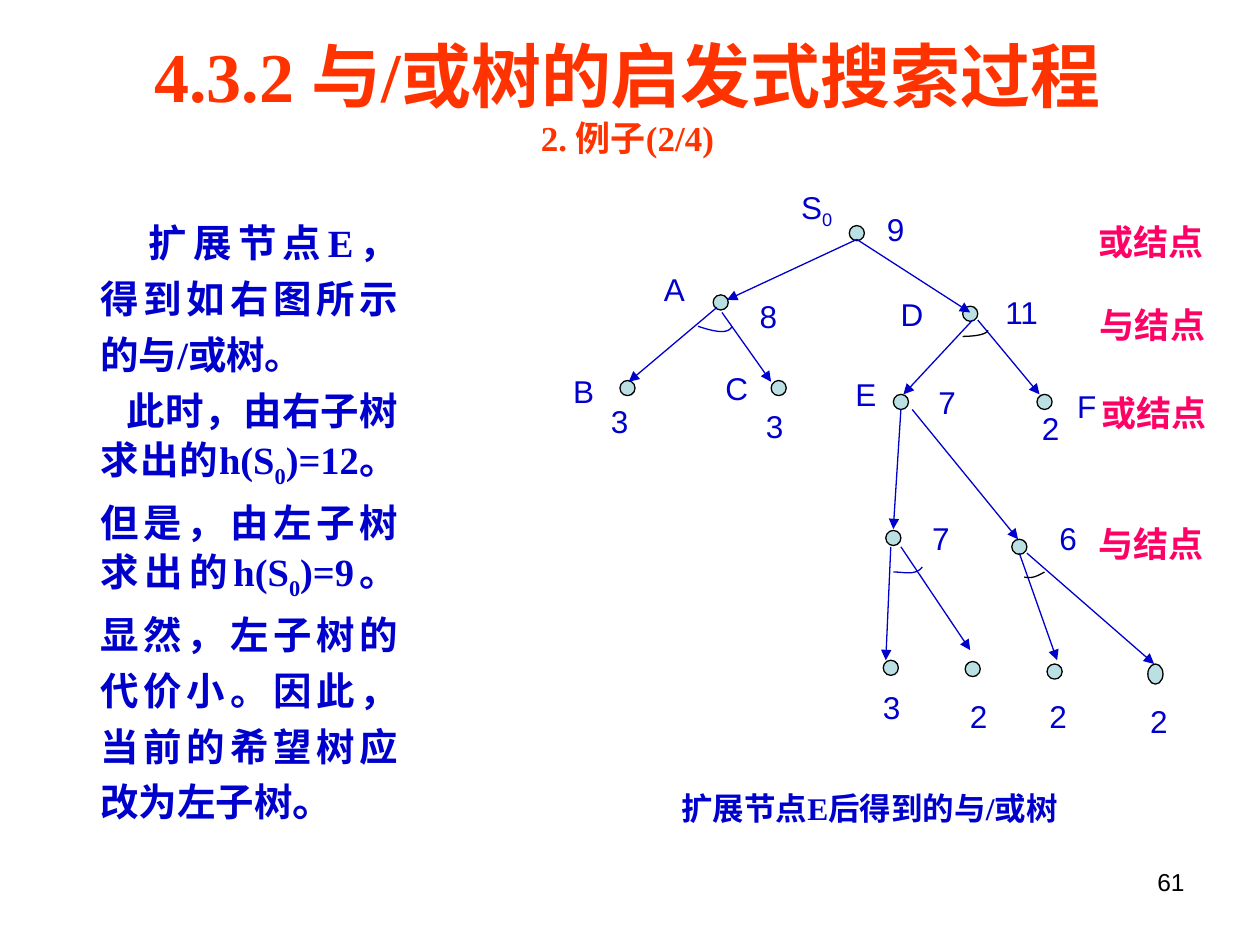
import pptx
import pptx.util
import pptx.dml.color
import pptx.enum.shapes
import pptx.enum.text
import pptx.oxml.ns
from lxml import etree
from pptx.util import Inches, Pt

INK = {"blue": "0000CC", "red": "FF3300", "pink": "FF0066",
       "node": "BBE0E3", "black": "000000"}
SERIF, SANS = "Times New Roman", "Arial"
ALIGN = pptx.enum.text.PP_ALIGN

NODES = [(2.4, 0.45), (1.32, 1), (3.3, 1.09), (0.58, 1.68), (1.78, 1.68),
         (2.75, 1.79), (3.89, 1.79), (2.69, 2.87), (3.69, 2.94),
         (2.67, 3.9), (3.32, 3.91), (3.97, 3.93), (4.77, 3.95)]
EDGES = [(2.4, 0.5, 1.37, 0.98), (2.4, 0.5, 3.3, 1.08),
         (1.29, 1.04, 0.59, 1.63), (1.33, 1.08, 1.72, 1.63),
         (3.32, 1.14, 2.77, 1.73), (3.36, 1.14, 3.85, 1.73),
         (2.75, 1.85, 2.69, 2.8), (2.84, 1.85, 3.68, 2.88),
         (2.67, 2.94, 2.63, 3.84), (2.75, 2.94, 3.3, 3.76),
         (3.69, 2.99, 3.99, 3.84), (3.75, 2.99, 4.76, 3.87)]
LABELS = [("S_0", 1.86, 0.04), ("9", 2.54, 0.22), ("A", 0.77, 0.69),
          ("8", 1.53, 0.91), ("D", 2.65, 0.89), ("11", 3.48, 0.88),
          ("B", 0.05, 1.5), ("C", 1.26, 1.48), ("E", 2.29, 1.53),
          ("F", 4.05, 1.62), ("3", 0.35, 1.74), ("3", 1.58, 1.78),
          ("7", 2.95, 1.59), ("2", 3.77, 1.8), ("3", 2.51, 4.01),
          ("2", 3.2, 4.08), ("2", 3.83, 4.08), ("2", 4.63, 4.12),
          ("7", 2.9, 2.67), ("6", 3.91, 2.67)]
ARCS = [("blue", [(1.14, 1.19), (1.26, 1.23), (1.38, 1.26), (1.41, 1.19)]),
        ("black", [(3.24, 1.27), (3.35, 1.27), (3.44, 1.25), (3.44, 1.22)]),
        ("blue", [(2.69, 3.14), (2.78, 3.14), (2.87, 3.17), (2.92, 3.1)]),
        ("black", [(3.73, 3.18), (3.79, 3.19), (3.82, 3.18), (3.89, 3.14)])]


def tint(name):
    """Return a named colour."""
    return pptx.dml.color.RGBColor.from_string(INK[name])


def write(slide, box, lines, size, color, face=SERIF, bold=True,
          align=ALIGN.LEFT, pad=(0.1, 0.05)):
    """Add a text box; a mark _0 becomes a subscript zero."""
    frame = slide.shapes.add_textbox(*map(Inches, box)).text_frame
    frame.word_wrap = True
    frame.margin_left = frame.margin_right = Inches(pad[0])
    frame.margin_top = frame.margin_bottom = Inches(pad[1])
    for i, line in enumerate(lines):
        para = frame.add_paragraph() if i else frame.paragraphs[0]
        para.alignment = align
        for j, part in enumerate(line.split("_0")):
            if j:
                sub = para.add_run()
                sub.text = "0"
                sub._r.get_or_add_rPr().set("baseline", "-25000")
            if part:
                para.add_run().text = part
        font = para.font
        font.size, font.name, font.bold = Pt(size), face, bold
        font.color.rgb = tint(color)
    return frame.paragraphs


def head(slide, box):
    """Place the title and its subtitle."""
    lines = ["4.3.2 与/或树的启发式搜索过程", "2. 例子(2/4)"]
    paras = write(slide, box, lines, 40, "red", align=ALIGN.CENTER)
    paras[1].font.size = Pt(20)


def body(slide, box):
    """Place the justified explanation."""
    lines = ["扩展节点E，得到如右图所示的与/或树。",
             "此时，由右子树求出的h(S_0)=12。但是，由左子树求出的h(S_0)=9。"
             "显然，左子树的代价小。因此，当前的希望树应改为左子树"]
    paras = write(slide, box, lines, 22, "blue", align=ALIGN.JUSTIFY)
    for para, dent in zip(paras, (0.38, 0.21)):
        para.line_spacing = Pt(32)
        para._p.get_or_add_pPr().set("indent", str(Inches(dent)))
    stop = paras[1].add_run()
    stop.text = "。"
    stop.font.size, stop.font.name = Pt(24), SANS


def node(slide, x, y, high=0.12):
    """Draw a tree node about its centre."""
    dot = slide.shapes.add_shape(
        pptx.enum.shapes.MSO_SHAPE.OVAL, Inches(x - 0.06),
        Inches(y - high / 2), Inches(0.12), Inches(high))
    dot.shadow.inherit = False
    dot.fill.solid()
    dot.fill.fore_color.rgb = tint("node")
    dot.line.color.rgb = tint("black")
    dot.line.width = Pt(0.75)


def edge(slide, ends):
    """Draw an arrow from parent to child."""
    line = slide.shapes.add_connector(
        pptx.enum.shapes.MSO_CONNECTOR.STRAIGHT, *map(Inches, ends))
    line.line.color.rgb = tint("blue")
    line.line.width = Pt(0.75)
    qn = pptx.oxml.ns.qn
    etree.SubElement(line.line._get_or_add_ln(), qn("a:tailEnd"),
                     type="triangle")
    etree.SubElement(line._element.spPr, qn("a:effectLst"))


def arc(slide, color, points):
    """Draw a cubic curve that ties the branches of an AND node."""
    steps = [k / 12 for k in range(13)]
    curve = [tuple(Inches((1 - t) ** 3 * a + 3 * t * (1 - t) ** 2 * b
                          + 3 * t * t * (1 - t) * c + t ** 3 * d)
                   for a, b, c, d in zip(*points)) for t in steps]
    form = slide.shapes.build_freeform(*curve[0])
    form.add_line_segments(curve[1:], close=False)
    shape = form.convert_to_shape()
    shape.shadow.inherit = False
    shape.fill.background()
    shape.line.color.rgb = tint(color)
    shape.line.width = Pt(0.75)


def tree(slide, x, y):
    """Place the AND/OR tree with its labels and caption."""
    for i, (dx, dy) in enumerate(NODES):
        node(slide, x + dx, y + dy, 0.16 if i == len(NODES) - 1 else 0.12)
    for a, b, c, d in EDGES:
        edge(slide, (x + a, y + b, x + c, y + d))
    for color, points in ARCS:
        arc(slide, color, [(x + dx, y + dy) for dx, dy in points])
    for text, dx, dy in LABELS:
        wide = 0.4 if len(text) == 1 else 0.55
        write(slide, (x + dx, y + dy, wide, 0.4), [text], 18, "blue",
              SANS, False)
    write(slide, (x + 0.91, y + 4.81, 3.35, 0.7),
          ["扩展节点E后得到的与/或树"], 18, "blue")


def kinds(slide, x, y):
    """Name the kind of node on each level."""
    rows = [("或结点", 0, 0), ("与结点", 0.01, 0.66),
            ("或结点", 0.02, 1.36), ("与结点", 0, 2.4)]
    for text, dx, dy in rows:
        write(slide, (x + dx, y + dy, 0.91, 0.36), [text], 20, "pink",
              pad=(0.02, 0.01))


def main():
    """Build and save the slide."""
    deck = pptx.Presentation()
    deck.slide_width, deck.slide_height = Inches(10), Inches(7.5)
    slide = deck.slides.add_slide(deck.slide_layouts[6])
    write(slide, (7.17, 6.83, 2.33, 0.52), ["61"], 14, "black", SANS,
          False, ALIGN.RIGHT)
    body(slide, (0.7, 1.61, 2.56, 5.43))
    tree(slide, 4.4, 1.4)
    head(slide, (0.51, 0.21, 8.94, 1.1))
    kinds(slide, 8.7, 1.74)
    deck.save("out.pptx")


if __name__ == "__main__":
    main()
